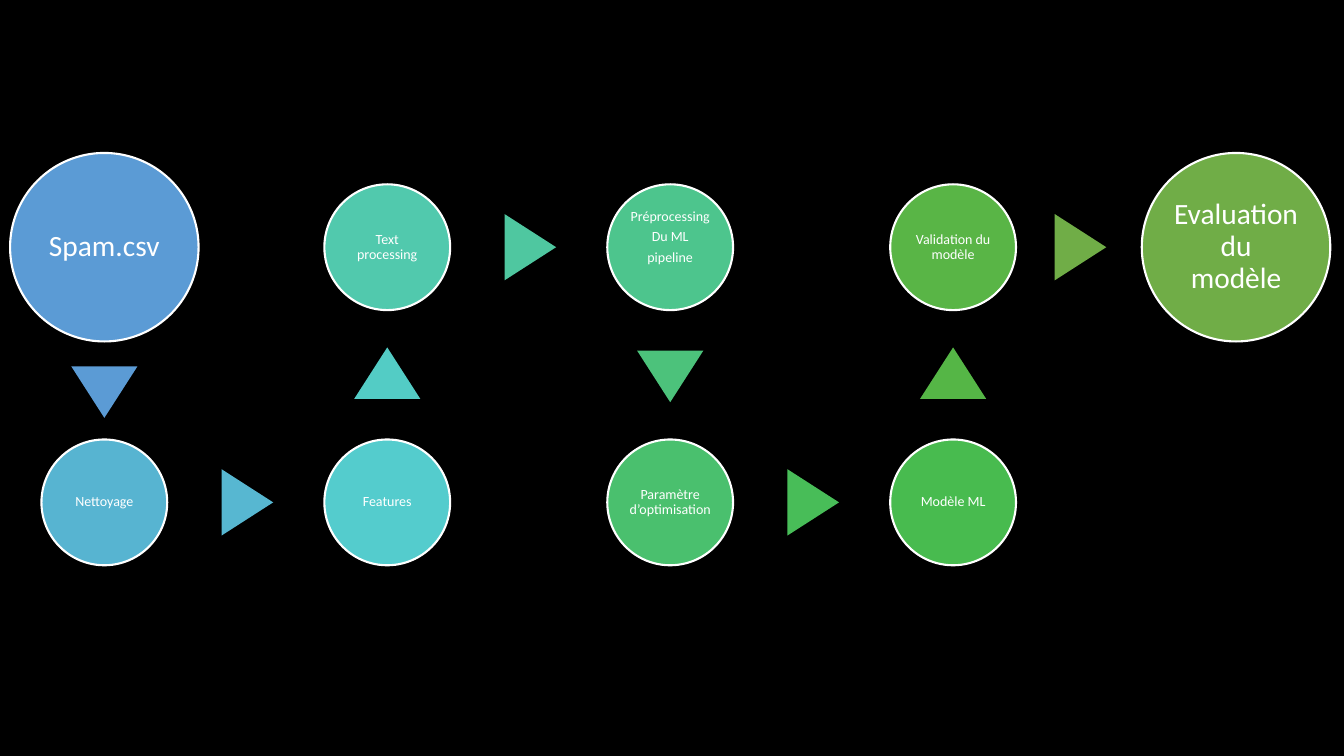
from itertools import pairwise

from pptx import Presentation
from pptx.dml.color import RGBColor as RGB
from pptx.enum.shapes import MSO_SHAPE as Shape
from pptx.enum.text import MSO_ANCHOR as Anchor, PP_ALIGN as Align
from pptx.util import Cm, Pt

COLORS = {
    "black": "000000", "white": "FFFFFF",
    "spam": "5B9BD5", "cleaning": "57B4D1", "features": "54CCCD",
    "text": "51C9AD", "prep": "4DC58D", "params": "4AC06E",
    "model": "48BB4F", "validation": "59B546", "evaluation": "70AD47",
    "to_features": "57B7D1", "to_text": "53CCC5", "to_prep": "4FC7A0",
    "to_params": "4CC27B", "to_model": "48BD58", "to_validation": "55B646",
}

LEFT, COL_STEP = 2.63, 7.13
ROWS = (6.23, 12.66)
BIG, SMALL = 4.75, 3.17
ARROW_W, ARROW_H, ARROW_SHIFT = 1.67, 1.3, 0.04

STEPS = [
    ("Spam.csv", 0, 0, BIG, "spam"),
    ("Nettoyage", 0, 1, SMALL, "cleaning"),
    ("Features", 1, 1, SMALL, "features"),
    ("Text processing", 1, 0, SMALL, "text"),
    ("Préprocessing\nDu ML\npipeline", 2, 0, SMALL, "prep"),
    ("Paramètre d’optimisation", 2, 1, SMALL, "params"),
    ("Modèle ML", 3, 1, SMALL, "model"),
    ("Validation du modèle", 3, 0, SMALL, "validation"),
    ("Evaluation du modèle", 4, 0, BIG, "evaluation"),
]
ARROWS = ["spam", "to_features", "to_text", "to_prep", "to_params",
          "to_model", "to_validation", "evaluation"]


class Diagram:
    font = "Calibri"

    def __init__(self, slide):
        fill = slide.background.fill
        fill.solid()
        fill.fore_color.rgb = self.color("black")
        self.shapes = slide.shapes.add_group_shape().shapes

    def color(self, name):
        return RGB.from_string(COLORS[name])

    def shape(self, kind, x, y, w, h, color):
        sp = self.shapes.add_shape(kind, Cm(x - w / 2), Cm(y - h / 2), Cm(w), Cm(h))
        sp.shadow.inherit = False
        sp.fill.solid()
        sp.fill.fore_color.rgb = self.color(color)
        return sp

    def circle(self, text, x, y, size, color):
        sp = self.shape(Shape.OVAL, x, y, size, size, color)
        sp.line.color.rgb = self.color("white")
        sp.line.width = Pt(1.5)
        font_size, after, inset = (21, 9, 0.07) if size == BIG else (10, 4, 0.05)
        tf = sp.text_frame
        tf.word_wrap = True
        tf.vertical_anchor = Anchor.MIDDLE
        tf.margin_left = tf.margin_right = tf.margin_top = Cm(inset)
        tf.margin_bottom = Cm(inset + 0.5 if "\n" in text else inset)
        tf.text = text
        for p in tf.paragraphs:
            p.alignment = Align.CENTER
            p.line_spacing = 0.9
            p.space_after = Pt(after)
            for r in p.runs:
                r.font.name = self.font
                r.font.size = Pt(font_size)
                r.font.color.rgb = self.color("white")

    def arrow(self, start, end, color):
        (x1, y1, d1), (x2, y2, d2) = start, end
        shift = (d1 - d2) / 4 + ARROW_SHIFT
        dx = (x2 > x1) - (x2 < x1)
        dy = (y2 > y1) - (y2 < y1)
        x, y = (x1 + x2) / 2 + dx * shift, (y1 + y2) / 2 + dy * shift
        sp = self.shape(Shape.ISOSCELES_TRIANGLE, x, y, ARROW_W, ARROW_H, color)
        sp.line.fill.background()
        sp.rotation = 90 if dx else 90 + 90 * dy


def main():
    prs = Presentation()
    prs.slide_width, prs.slide_height = Cm(33.87), Cm(19.05)
    diagram = Diagram(prs.slides.add_slide(prs.slide_layouts[6]))
    spots = []
    for text, col, row, size, color in STEPS:
        spot = (LEFT + col * COL_STEP, ROWS[row], size)
        diagram.circle(text, *spot, color)
        spots.append(spot)
    for (start, end), color in zip(pairwise(spots), ARROWS):
        diagram.arrow(start, end, color)
    prs.save("out.pptx")


if __name__ == "__main__":
    main()
